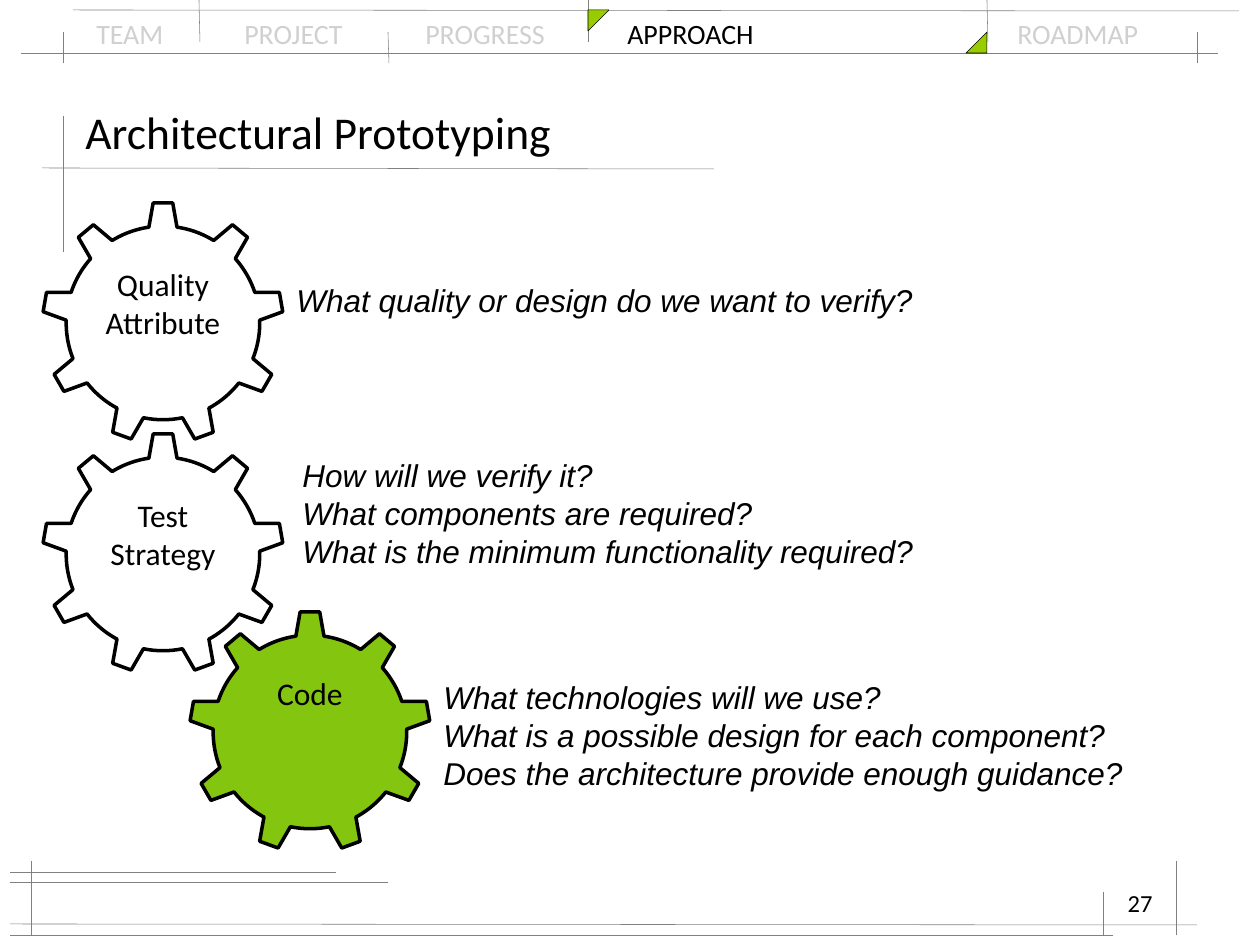
from lxml import etree
from pptx import Presentation
from pptx.dml.color import RGBColor
from pptx.enum.shapes import MSO_CONNECTOR, MSO_SHAPE
from pptx.enum.text import MSO_ANCHOR, PP_ALIGN
from pptx.oxml.ns import qn
from pptx.util import Pt

SCALE = 914400 / 126
COLORS = {
    "black": "000000",
    "white": "FFFFFF",
    "muted": "D0D0D0",
    "rule": "808080",
    "marker": "99CC00",
    "active": "84C50F",
}


def px(*lengths):
    return [round(length * SCALE) for length in lengths]


def add_span(para, text, size, font="Calibri", color="black", italic=False):
    span = para.add_run()
    span.text = text
    span.font.size = Pt(size)
    span.font.name = font
    span.font.italic = italic
    span.font.color.rgb = RGBColor.from_string(COLORS[color])


deck = Presentation()
deck.slide_width, deck.slide_height = px(1260, 945)
page = deck.slides.add_slide(deck.slide_layouts[6])

nav = page.shapes.add_textbox(*px(84, 10, 1120, 47))
nav.text_frame.word_wrap = True
para = nav.text_frame.paragraphs[0]
tabs = etree.SubElement(para._p.get_or_add_pPr(), qn("a:tabLst"))
for left in (245, 426, 628, 1018):
    stop = etree.SubElement(tabs, qn("a:tab"))
    stop.set("pos", str(px(left - 97)[0]))
    stop.set("algn", "l")
for text, color in (
    ("TEAM\tPROJECT\tPROGRESS\t", "muted"),
    ("APPROACH\t", "black"),
    ("ROADMAP", "muted"),
):
    add_span(para, text, 16, color=color)

rules = [
    (21, 53, 1218, 53),
    (73, 10, 1239, 11),
    (63, 116, 63, 252),
    (42, 168, 714, 169),
    (10, 882, 388, 882),
    (10, 924, 1197, 925),
    (31, 861, 31, 935),
    (10, 872, 336, 872),
    (10, 935, 1113, 935),
    (1176, 861, 1176, 935),
    (1103, 892, 1103, 935),
    (63, 32, 63, 63),
    (388, 32, 389, 63),
    (1197, 32, 1197, 63),
    (199, 0, 200, 42),
    (588, 0, 588, 42),
    (987, 0, 988, 42),
]
for ends in rules:
    rule = page.shapes.add_connector(MSO_CONNECTOR.STRAIGHT, *px(*ends))
    rule.line.color.rgb = RGBColor.from_string(COLORS["rule"])
    rule.line.width = Pt(0.3)
    etree.SubElement(rule._element.spPr, qn("a:effectLst"))

for left, top, flip in ((588, 10, "flipV"), (966, 32, "flipH")):
    marker = page.shapes.add_shape(MSO_SHAPE.RIGHT_TRIANGLE, *px(left, top, 21, 21))
    marker.shadow.inherit = False
    marker.fill.solid()
    marker.fill.fore_color.rgb = RGBColor.from_string(COLORS["marker"])
    marker.line.color.rgb = RGBColor.from_string(COLORS["black"])
    marker.line.width = Pt(0.3)
    marker._element.spPr.find(qn("a:xfrm")).set(flip, "1")

title = page.shapes.add_textbox(*px(73, 95, 1113, 73))
title.text_frame.word_wrap = True
title.text_frame.vertical_anchor = MSO_ANCHOR.MIDDLE
add_span(title.text_frame.paragraphs[0], "Architectural Prototyping", 26)

number = page.shapes.add_textbox(*px(903, 882, 262, 63))
number.text_frame.word_wrap = True
number.text_frame.paragraphs[0].alignment = PP_ALIGN.RIGHT
add_span(number.text_frame.paragraphs[0], "27", 14)

steps = [
    (42, 433, "white", ["Test", "Strategy"], (290, 450, 650, 127), [
        "How will we verify it?",
        "What components are required?",
        "What is the minimum functionality required?",
    ]),
    (189, 611, "active", ["Code"], (431, 672, 719, 127), [
        "What technologies will we use?",
        "What is a possible design for each component?",
        "Does the architecture provide enough guidance?",
    ]),
    (42, 202, "white", ["Quality", "Attribute"], (284, 275, 668, 50), [
        "What quality or design do we want to verify?",
    ]),
]
for left, top, fill, labels, area, questions in steps:
    gear = page.shapes.add_shape(MSO_SHAPE.GEAR_9, *px(left, top, 242, 242))
    gear.shadow.inherit = False
    gear.fill.solid()
    gear.fill.fore_color.rgb = RGBColor.from_string(COLORS[fill])
    gear.line.color.rgb = RGBColor.from_string(COLORS["black"])
    gear.line.width = Pt(2)
    gear.text_frame.vertical_anchor = MSO_ANCHOR.TOP
    box = page.shapes.add_textbox(*px(*area))
    box.text_frame.word_wrap = False
    for shape, lines, font, align in (
        (gear, labels, "Calibri", PP_ALIGN.CENTER),
        (box, questions, "Arial", PP_ALIGN.LEFT),
    ):
        frame = shape.text_frame
        for index, text in enumerate(lines):
            para = frame.add_paragraph() if index else frame.paragraphs[0]
            para.alignment = align
            add_span(para, text, 18, font, italic=shape is box)

deck.save("out.pptx")
